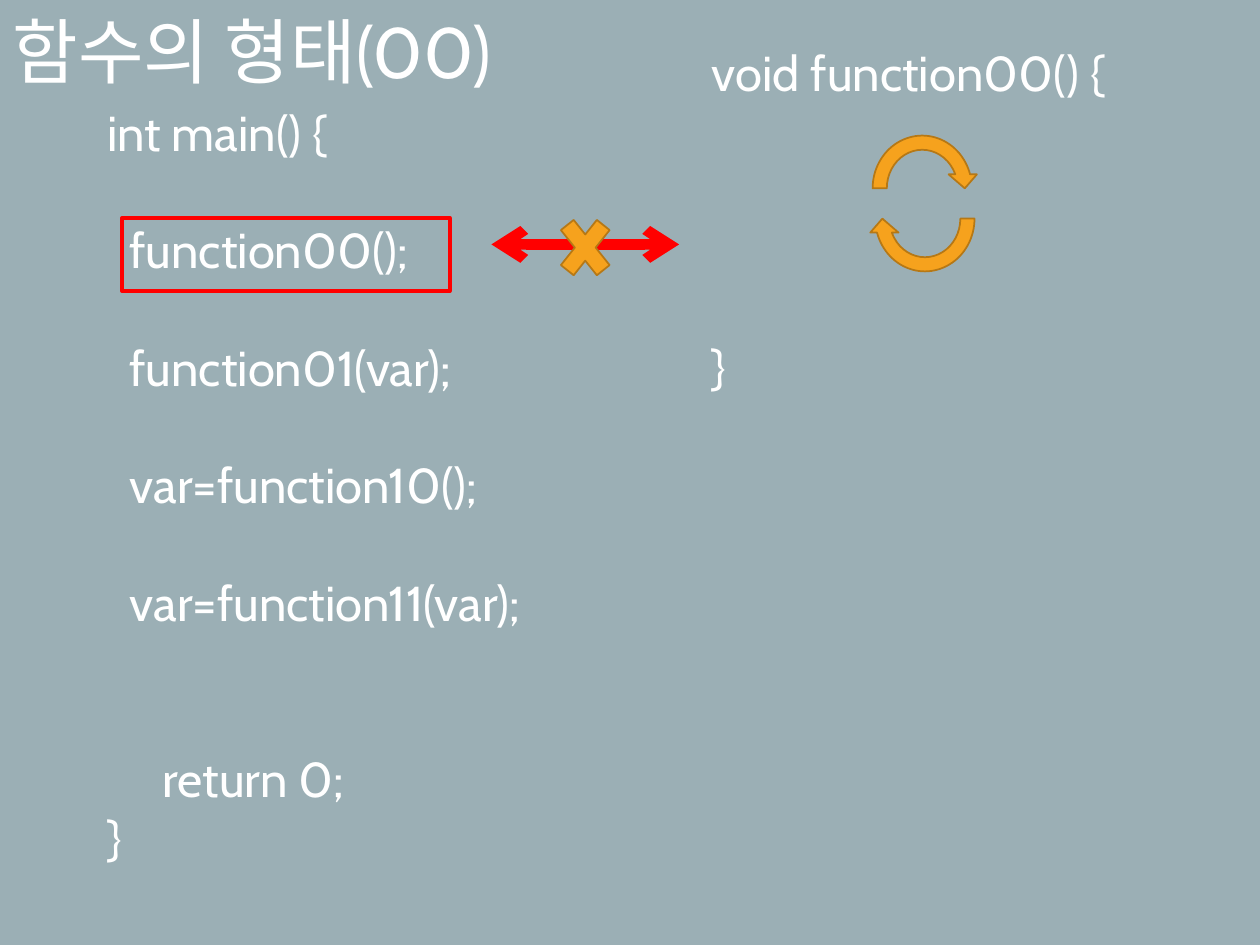
from lxml.etree import SubElement
from pptx import Presentation
from pptx.dml.color import RGBColor
from pptx.enum.shapes import MSO_CONNECTOR, MSO_SHAPE
from pptx.enum.text import MSO_ANCHOR, MSO_AUTO_SIZE, PP_ALIGN
from pptx.oxml.ns import qn
from pptx.util import Inches, Pt

BACKGROUND = RGBColor(0x9B, 0xAF, 0xB5)
WHITE = RGBColor(0xFF, 0xFF, 0xFF)
RED = RGBColor(0xFF, 0x00, 0x00)
ORANGE = RGBColor(0xF6, 0xA2, 0x1D)
BROWN = RGBColor(0xB6, 0x78, 0x15)
LINE_HEIGHT = 33.6


def place(shape, left, top, width, height):
    shape.left, shape.top = Inches(left), Inches(top)
    shape.width, shape.height = Inches(width), Inches(height)


def set_text(box, lines, size):
    frame = box.text_frame
    frame.word_wrap = True
    frame.auto_size = MSO_AUTO_SIZE.NONE
    frame.vertical_anchor = MSO_ANCHOR.TOP
    frame.text = "\n".join(text for text, indent, gap in lines)
    for para, (text, indent, gap) in zip(frame.paragraphs, lines):
        para.alignment = PP_ALIGN.LEFT
        para.space_before = Pt(gap * LINE_HEIGHT)
        para.font.name = "Cabin"
        para.font.size = Pt(size)
        para.font.color.rgb = WHITE
        properties = para._p.get_or_add_pPr()
        properties.set("marL", str(Inches(indent)))
        properties.set("indent", "0")
        bullet = properties.makeelement(qn("a:buNone"), {})
        properties.insert_element_before(bullet, "a:tabLst", "a:defRPr", "a:extLst")


deck = Presentation()
deck.slide_width, deck.slide_height = Inches(10), Inches(7.5)
page = deck.slides.add_slide(deck.slide_layouts.get_by_name("Two Content"))
page.background.fill.solid()
page.background.fill.fore_color.rgb = BACKGROUND

title, main_code, function_code = list(page.placeholders)[:3]
place(title, 0, 0.14, 8.39, 0.66)
set_text(title, [("함수의 형태(00)", 0, 0)], 40.7)
title.text_frame.paragraphs[0].line_spacing = 0.8

place(main_code, 0.75, 0.76, 4.02, 6.23)
set_text(main_code, [
    ("int main() {", 0, 0),
    ("function00();", 0.18, 1),
    ("function01(var);", 0.18, 1),
    ("var=function10();", 0.18, 1),
    ("var=function11(var);", 0.18, 1),
    ("return 0;", 0.44, 2),
    ("}", 0, 0),
], 28)

place(function_code, 5.55, 0.29, 4.02, 2.93)
set_text(function_code, [("void function00() {", 0, 0), ("}", 0, 4)], 28)

call_frame = page.shapes.add_shape(
    MSO_SHAPE.RECTANGLE, Inches(0.97), Inches(1.73), Inches(2.6), Inches(0.58))
call_frame.shadow.inherit = False
call_frame.fill.background()
call_frame.line.color.rgb = RED
call_frame.line.width = Pt(2.25)

exchange = page.shapes.add_connector(
    MSO_CONNECTOR.STRAIGHT, Inches(3.9), Inches(1.94), Inches(5.39), Inches(1.94))
exchange.line.color.rgb = RED
exchange.line.width = Pt(6)
for end in ("a:headEnd", "a:tailEnd"):
    SubElement(exchange.line._get_or_add_ln(), qn(end), type="arrow")
SubElement(exchange._element.spPr, qn("a:effectLst"))

for kind, left, top, width, height, rotation in [
    (MSO_SHAPE.MATH_MULTIPLY, 4.37, 1.62, 0.55, 0.69, 0),
    (MSO_SHAPE.CIRCULAR_ARROW, 6.87, 1.02, 0.9, 0.95, 0),
    (MSO_SHAPE.CIRCULAR_ARROW, 6.89, 1.26, 0.9, 0.95, 180),
]:
    symbol = page.shapes.add_shape(
        kind, Inches(left), Inches(top), Inches(width), Inches(height))
    symbol.rotation = rotation
    symbol.shadow.inherit = False
    symbol.fill.solid()
    symbol.fill.fore_color.rgb = ORANGE
    symbol.line.color.rgb = BROWN
    symbol.line.width = Pt(1)

for placeholder in list(page.placeholders):
    if not placeholder.text_frame.text:
        placeholder._element.getparent().remove(placeholder._element)

deck.save("out.pptx")
